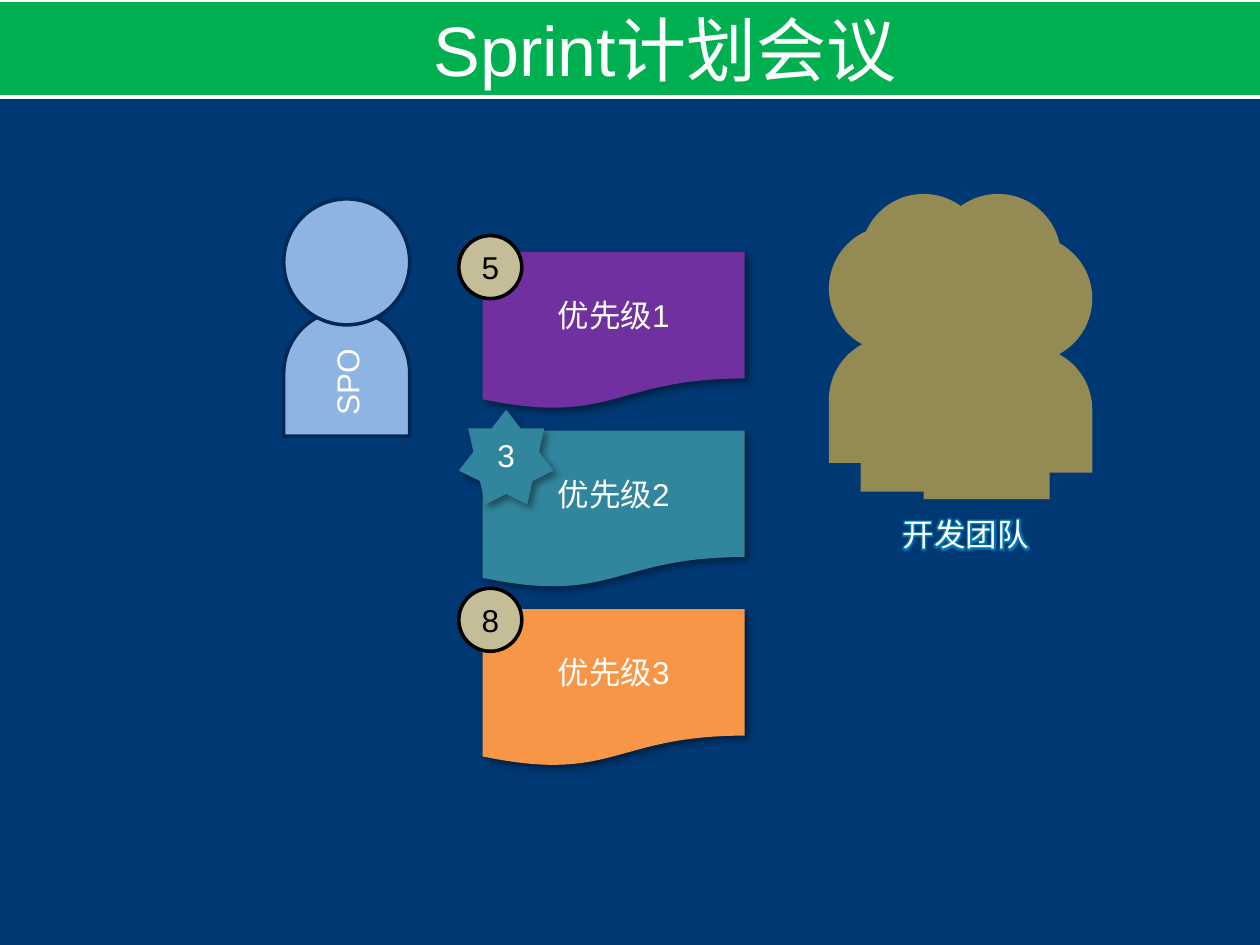
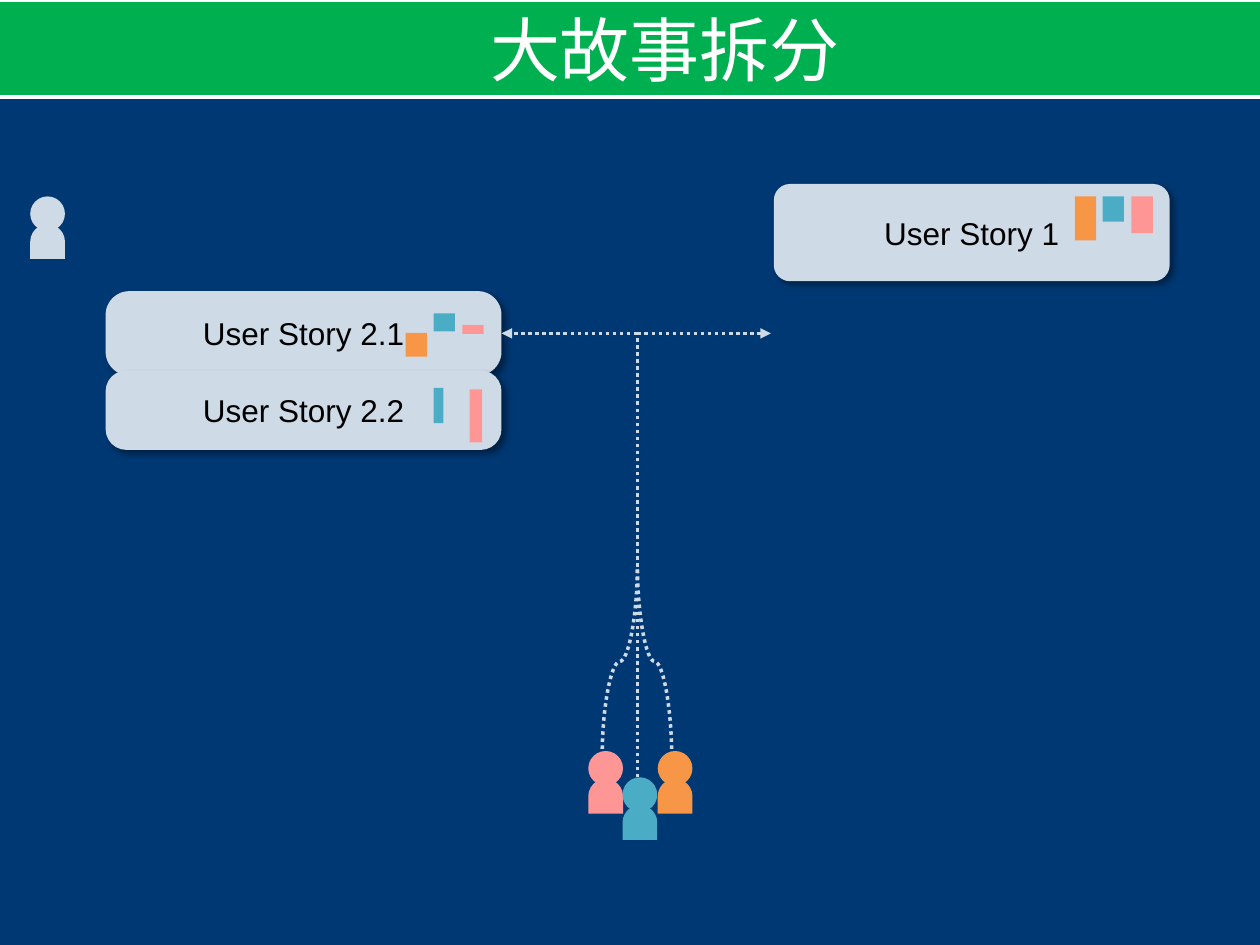
from lxml import etree
from pptx import Presentation
from pptx.dml.color import RGBColor
from pptx.enum.dml import MSO_LINE
from pptx.enum.shapes import MSO_CONNECTOR, MSO_SHAPE
from pptx.enum.text import MSO_ANCHOR, MSO_AUTO_SIZE, PP_ALIGN
from pptx.oxml import parse_xml
from pptx.oxml.ns import nsdecls, qn
from pptx.util import Cm, Pt

RECT, ROUND = MSO_SHAPE.RECTANGLE, MSO_SHAPE.ROUNDED_RECTANGLE
OVAL, BODY = MSO_SHAPE.OVAL, MSO_SHAPE.FLOWCHART_DELAY
CARD, STAR = MSO_SHAPE.FLOWCHART_DOCUMENT, MSO_SHAPE.STAR_7_POINT
STRAIGHT, CURVE = MSO_CONNECTOR.STRAIGHT, MSO_CONNECTOR.CURVE
MIDDLE, CENTER = MSO_ANCHOR.MIDDLE, PP_ALIGN.CENTER
DOTTED = MSO_LINE.ROUND_DOT
RIGHT_SIDE = 3

FONT = "Arial"
COLORS = {
    "navy": "003873", "green": "00B050", "white": "FFFFFF", "black": "000000",
    "olive": "948A54", "sand": "C4BD97", "sky": "8EB4E3", "ink": "002955",
    "purple": "7030A0", "sea": "31859C", "orange": "F79646",
    "pale": "CEDBE7", "teal": "4BACC6", "pink": "FF9696", "glow": "00A3D6",
}
SHADOW = (
    f'<a:effectLst {nsdecls("a")}><a:outerShdw blurRad="50800" dist="38100" '
    'dir="2700000" algn="tl" rotWithShape="0"><a:srgbClr val="000000">'
    '<a:alpha val="40000"/></a:srgbClr></a:outerShdw></a:effectLst>'
)
GLOW = (
    f'<a:effectLst {nsdecls("a")}><a:glow rad="63500"><a:srgbClr val="{COLORS["glow"]}">'
    '<a:alpha val="60000"/></a:srgbClr></a:glow></a:effectLst>'
)


def rgb(name):
    return RGBColor.from_string(COLORS[name])


class Deck:
    """Shared style and the slide being filled; all lengths in centimetres."""

    def __init__(self):
        self.deck = Presentation()
        self.deck.slide_width, self.deck.slide_height = Cm(25.4), Cm(19.05)
        background = self.deck.slide_master.background.fill
        background.solid()
        background.fore_color.rgb = rgb("navy")
        self.page = None

    def paint(self, shape, fill, line=None):
        shape.fill.solid()
        shape.fill.fore_color.rgb = rgb(fill)
        if line:
            shape.line.color.rgb = rgb(line)
            shape.line.width = Pt(2)
        else:
            shape.line.fill.background()

    def set_text(self, frame, text, color, size=18):
        frame.vertical_anchor = MIDDLE
        para = frame.paragraphs[0]
        para.text = text
        para.alignment = CENTER
        para.font.name, para.font.size = FONT, Pt(size)
        para.font.color.rgb = rgb(color)

    def new_page(self, title):
        self.page = self.deck.slides.add_slide(self.deck.slide_layouts[5])
        band = self.page.shapes.title
        band.left, band.top, band.width, band.height = Cm(-0.69), 0, Cm(26.97), Cm(1.96)
        self.paint(band, "green", "white")
        band.text_frame.auto_size = MSO_AUTO_SIZE.NONE
        band.text_frame.margin_left = Cm(1.47)
        self.set_text(band.text_frame, title, "white", 40)

    def shape(self, kind, x, y, w, h, fill, line=None, text=None,
              color="white", shadow=False):
        shape = self.page.shapes.add_shape(kind, Cm(x), Cm(y), Cm(w), Cm(h))
        shape.shadow.inherit = False
        self.paint(shape, fill, line)
        if shadow:
            properties = shape._element.spPr
            properties.replace(properties.find(qn("a:effectLst")), parse_xml(SHADOW))
        if text:
            self.set_text(shape.text_frame, text, color)
        return shape

    def person(self, x, y, size, drop, fill, line=None, text=None):
        body = self.shape(BODY, x, y + drop, size, size, fill, line, text)
        body.rotation = 270
        self.shape(OVAL, x, y, size, size, fill, line)

    def glowing_label(self, x, y, w, h, text):
        box = self.page.shapes.add_textbox(Cm(x), Cm(y), Cm(w), Cm(h))
        box.text_frame.word_wrap = False
        self.set_text(box.text_frame, text, "white")
        span = box.text_frame.paragraphs[0].runs[0]
        span._r.get_or_add_rPr().append(parse_xml(GLOW))

    def story(self, x, y, w, h, text, bars, corner=None):
        card = self.shape(ROUND, x, y, w, h, "pale", text=text, color="black", shadow=True)
        if corner:
            card.adjustments[0] = corner
        for fill, *place in bars:
            self.shape(RECT, *place, fill)
        return card

    def connector(self, kind, x1, y1, x2, y2, arrow=False):
        line = self.page.shapes.add_connector(kind, Cm(x1), Cm(y1), Cm(x2), Cm(y2))
        line.line.color.rgb = rgb("pale")
        line.line.width = Pt(2)
        line.line.dash_style = DOTTED
        if arrow:
            etree.SubElement(line.line._get_or_add_ln(), qn("a:tailEnd"), type="triangle")
        etree.SubElement(line._element.spPr, qn("a:effectLst"))
        return line

    def upright_curve(self, x1, y1, x2, y2):
        """A curve that leaves and arrives vertically: a quarter-turned connector."""
        turn = 1 if x1 < x2 else -1
        mid_x, mid_y = (x1 + x2) / 2, (y1 + y2) / 2
        dx, dy = turn * (y1 - mid_y), turn * (mid_x - x1)
        line = self.connector(CURVE, mid_x + dx, mid_y + dy, mid_x - dx, mid_y - dy)
        line._element.spPr.find(qn("a:xfrm")).set("rot", str(turn * 90 % 360 * 60000))


def planning_page(deck):
    deck.new_page("Sprint计划会议")

    # Development team and product owner
    for x, y in [(18.85, 3.91), (17.35, 3.91), (16.71, 4.55),
                 (17.35, 5.13), (19.48, 4.75), (18.62, 5.28)]:
        deck.person(x, y, 2.54, 2.24, "olive")
    deck.person(5.72, 4.01, 2.54, 2.24, "sky", "ink", "SPO")
    deck.glowing_label(17.93, 10.26, 3.07, 1.02, "开发团队")

    # Backlog cards by priority
    for row, fill in enumerate(["purple", "sea", "orange"]):
        deck.shape(CARD, 9.73, 5.08 + 3.6 * row, 5.28, 3.18, fill,
                   text=f"优先级{row + 1}", shadow=True)

    # Estimates
    deck.shape(STAR, 9.25, 8.26, 1.91, 1.91, "sea", text="3", shadow=True)
    for y, points in [(4.75, "5"), (11.86, "8")]:
        deck.shape(OVAL, 9.25, y, 1.27, 1.27, "sand", "black", points, "black")


def splitting_page(deck):
    deck.new_page("大故事拆分")

    # Stories with their task bars
    deck.story(15.6, 3.71, 7.98, 1.96, "User Story 1", [
        ("orange", 21.67, 3.96, 0.43, 0.89),
        ("teal", 22.23, 3.96, 0.43, 0.51),
        ("pink", 22.81, 3.96, 0.43, 0.74)])
    first_part = deck.story(2.13, 5.87, 7.98, 1.7, "User Story 2.1", [
        ("teal", 8.74, 6.32, 0.43, 0.36),
        ("pink", 9.32, 6.55, 0.43, 0.18),
        ("orange", 8.18, 6.71, 0.43, 0.48)], 0.28)
    deck.story(2.13, 7.47, 7.98, 1.6, "User Story 2.2", [
        ("teal", 8.74, 7.82, 0.2, 0.71),
        ("pink", 9.47, 7.85, 0.25, 1.07)], 0.26)

    # Paths from the team to the stories
    stem, fork, junction = 12.85, 6.72, 11.43
    deck.connector(STRAIGHT, stem, 15.67, stem, junction)
    for x in (12.14, 13.54):
        deck.upright_curve(x, 15.24, stem, junction)
    deck.connector(STRAIGHT, stem, junction, stem, fork)
    to_part = deck.connector(STRAIGHT, stem, fork, 10.11, fork, arrow=True)
    to_part.end_connect(first_part, RIGHT_SIDE)
    deck.connector(STRAIGHT, stem, fork, 15.54, fork, arrow=True)

    # Product owner and team members
    for x, y, fill in [(0.61, 3.96, "pale"), (11.86, 15.14, "pink"),
                       (12.55, 15.67, "teal"), (13.26, 15.14, "orange")]:
        deck.person(x, y, 0.7, 0.56, fill)


def main():
    deck = Deck()
    planning_page(deck)
    splitting_page(deck)
    deck.deck.save("out.pptx")


if __name__ == "__main__":
    main()
